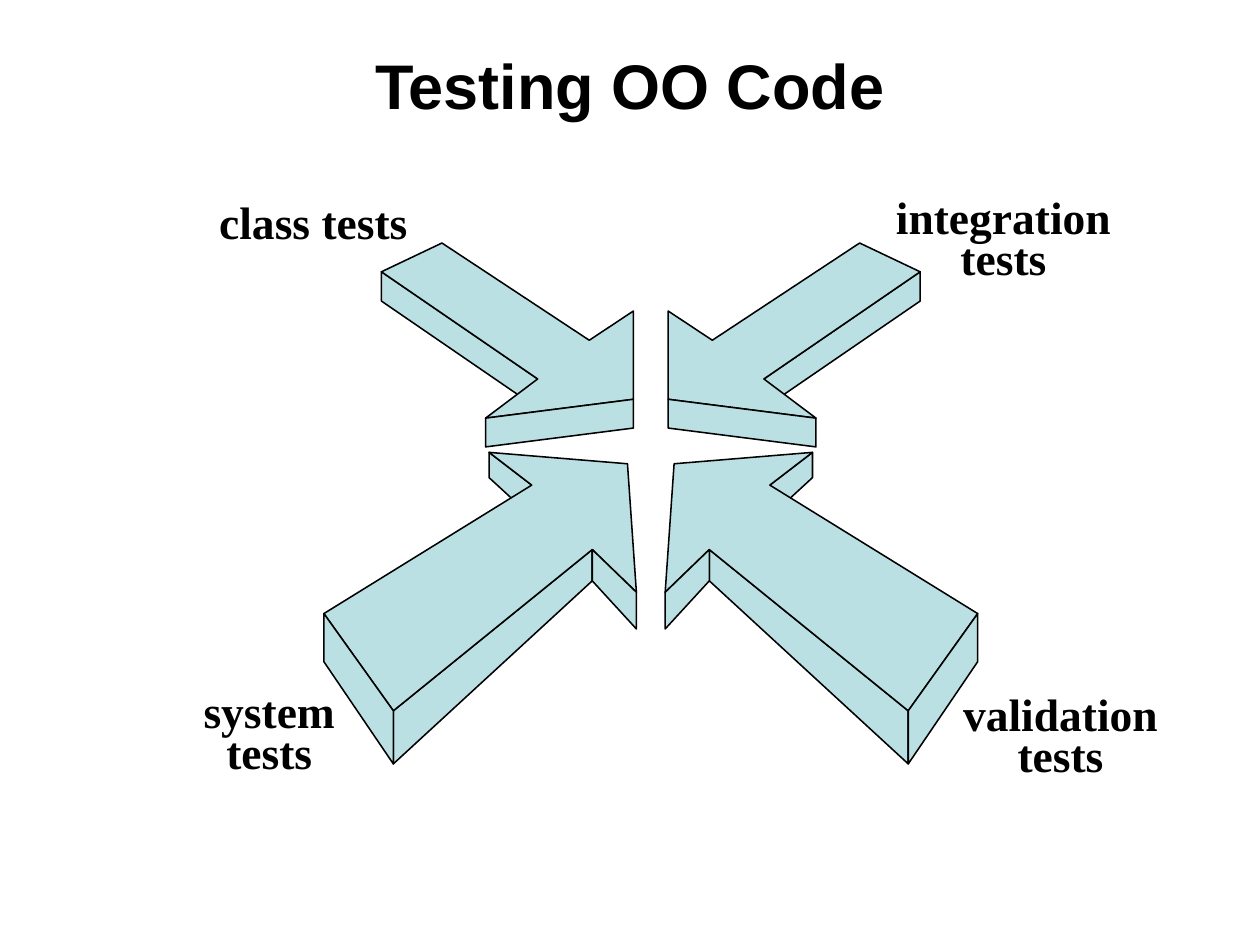
from pptx import Presentation
from pptx import util as u
from pptx.dml.color import RGBColor
from pptx.enum import text

# Arrow faces from back to front, in cm from the top left corner of the left-hand arrow.
UPPER_FACES = [
    [(0, 0.58), (3.15, 2.74), (3.15, 3.33), (0, 1.17)],
    [(0, 0.58), (1.22, 0), (4.19, 1.96), (5.08, 1.37),
     (5.08, 3.15), (2.1, 3.53), (3.15, 2.74)],
    [(2.1, 3.53), (5.08, 3.15), (5.08, 3.73), (2.1, 4.11)],
]
LOWER_FACES = [
    [(1.4, 5.21), (1.4, 6.28), (5.41, 2.59), (5.41, 1.96)],
    [(4.19, 0.66), (4.19, 1.3), (3.33, 0.51), (3.33, 0)],
    [(0, 3.25), (4.19, 0.66), (3.33, 0), (6.12, 0.23),
     (6.3, 2.82), (5.41, 1.96), (1.4, 5.21)],
    [(0, 3.25), (1.4, 5.21), (1.4, 6.28), (0, 4.22)],
    [(5.41, 1.96), (5.41, 2.59), (6.3, 3.56), (6.3, 2.82)],
]


def colour(value):
    return RGBColor.from_string(value)


def add_text(page, box, lines, font, size, align, spacing=None, wrap=False):
    """Place bold black lines, one paragraph each, in a box given in cm."""
    shape = page.shapes.add_textbox(*(u.Cm(n) for n in box))
    frame = shape.text_frame
    frame.word_wrap = wrap
    frame.margin_left = frame.margin_right = u.Cm(0.28)
    frame.margin_top = frame.margin_bottom = u.Cm(0.13)
    for index, line in enumerate(lines):
        para = frame.add_paragraph() if index else frame.paragraphs[0]
        para.alignment = align
        if spacing:
            para.line_spacing = spacing
        span = para.add_run()
        span.text = line
        span.font.name = font
        span.font.size = u.Pt(size)
        span.font.bold = True
        span.font.color.rgb = colour("000000")
    return frame


def add_title(page, box, title):
    frame = add_text(page, box, [title], "Arial", 36, text.PP_ALIGN.CENTER, wrap=True)
    frame.vertical_anchor = text.MSO_ANCHOR.MIDDLE


def add_label(page, box, lines):
    several = len(lines) > 1
    frame = add_text(page, box, lines, "Times New Roman", 26,
                     text.PP_ALIGN.CENTER if several else text.PP_ALIGN.LEFT,
                     0.75 if several else None)
    frame.auto_size = text.MSO_AUTO_SIZE.SHAPE_TO_FIT_TEXT


def add_arrow(page, box, faces, mirrored):
    """Draw one solid arrow as grouped faces; box is left, top, width in cm."""
    left, top, width = box
    group = page.shapes.add_group_shape()
    for face in faces:
        points = [(u.Cm(left + (width - x if mirrored else x)), u.Cm(top + y))
                  for x, y in face]
        builder = group.shapes.build_freeform(*points[0])
        builder.add_line_segments(points[1:], close=True)
        shape = builder.convert_to_shape()
        shape.shadow.inherit = False
        shape.fill.solid()
        shape.fill.fore_color.rgb = colour("BBE0E3")
        shape.line.color.rgb = colour("000000")
        shape.line.width = u.Pt(0.88)


def main():
    deck = Presentation()
    deck.slide_width, deck.slide_height = u.Cm(25.4), u.Cm(19.05)
    page = deck.slides.add_slide(deck.slide_layouts[6])

    add_title(page, (1.27, 0.76, 22.86, 1.88), "Testing OO Code")

    axis = 13.12
    for faces, left, top, width in ((UPPER_FACES, 7.69, 4.9, 5.08),
                                    (LOWER_FACES, 6.53, 9.12, 6.3)):
        add_arrow(page, (left, top, width), faces, False)
        add_arrow(page, (2 * axis - left - width, top, width), faces, True)

    add_label(page, (4.14, 3.78, 4.6, 1.37), ["class tests"])
    add_label(page, (17.68, 3.94, 5.1, 1.93), ["integration", "tests"])
    add_label(page, (19.03, 13.96, 4.7, 1.93), ["validation", "tests"])
    add_label(page, (3.68, 13.89, 3.5, 1.93), ["system", "tests"])

    deck.save("out.pptx")


if __name__ == "__main__":
    main()
